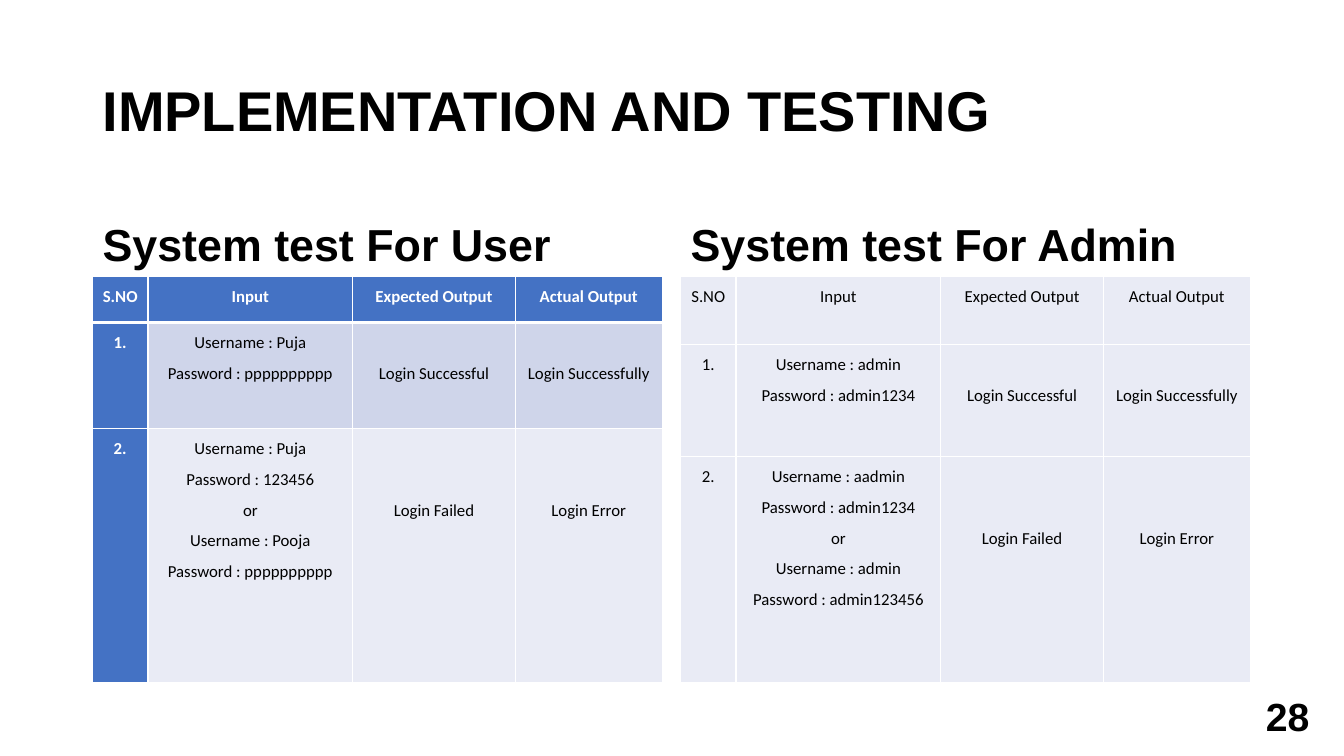
"""Build the slide with the login tests for user and admin."""
from lxml.etree import SubElement
from pptx import Presentation
from pptx.dml.color import RGBColor
from pptx.enum.text import MSO_ANCHOR as Anchor, MSO_AUTO_SIZE as Auto, PP_ALIGN as Align
from pptx.oxml.ns import qn
from pptx.util import Cm, Pt

TITLE = "IMPLEMENTATION AND TESTING"
PAGE = "28"
HEAD = ("S.NO", "Input", "Expected Output", "Actual Output")
TESTS = [
    {
        "name": "System test For User", "left": 2.33, "rows": (1.17, 2.67, 6.4), "accent": True,
        "cells": [
            HEAD,
            ("1.", "Username : Puja\nPassword : pppppppppp", "Login Successful", "Login Successfully"),
            ("2.", "Username : Puja\nPassword : 123456\nor\nUsername : Pooja\nPassword : pppppppppp",
             "Login Failed", "Login Error"),
        ],
    },
    {
        "name": "System test For Admin", "left": 17.15, "rows": (1.72, 2.82, 5.7), "accent": False,
        "cells": [
            HEAD,
            ("1.", "Username : admin\nPassword : admin1234", "Login Successful", "Login Successfully"),
            ("2.", "Username : aadmin\nPassword : admin1234\nor\nUsername : admin\nPassword : admin123456",
             "Login Failed", "Login Error"),
        ],
    },
]
COLS = (1.4, 5.16, 4.1, 3.7)
TOP, NAME_H, LINE = 6.96, 2.28, 0.78
BLUE, BAND, PALE, WHITE, BLACK = "4472C4", "CFD5EA", "E9EBF5", "FFFFFF", "000000"


def color(code):
    return RGBColor.from_string(code)


def write(frame, text, size=12, face="Arial", ink=BLACK, bold=True,
          align=Align.LEFT, anchor=Anchor.MIDDLE, space=0.9):
    frame.text = text
    frame.word_wrap = True
    frame.vertical_anchor = anchor
    for para in frame.paragraphs:
        para.alignment = align
        para.line_spacing = space
        para.space_before = para.space_after = Pt(0)
        for run in para.runs:
            font = run.font
            font.size, font.name, font.bold = Pt(size), face, bold
            font.color.rgb = color(ink)


def place(shape, left, top, width, height):
    shape.left, shape.top, shape.width, shape.height = map(Cm, (left, top, width, height))
    shape.text_frame.auto_size = Auto.NONE


def border(cell, sides):
    props = cell._tc.get_or_add_tcPr()
    for side, width in sides.items():
        line = SubElement(props, qn("a:ln" + side), w=str(Pt(width)))
        fill = SubElement(line, qn("a:solidFill"))
        SubElement(fill, qn("a:srgbClr"), val=WHITE)


def add_test(slide, test):
    cells, accent = test["cells"], test["accent"]
    frame = slide.shapes.add_table(len(cells), len(COLS), Cm(test["left"]), Cm(TOP),
                                   Cm(sum(COLS)), Cm(sum(test["rows"])))
    table = frame.table
    table.first_row = table.horz_banding = False
    for col, width in zip(table.columns, COLS):
        col.width = Cm(width)
    for r, (row, height) in enumerate(zip(cells, test["rows"])):
        table.rows[r].height = Cm(height)
        for c, text in enumerate(row):
            cell = table.cell(r, c)
            key = accent and (r == 0 or c == 0)
            border(cell, {"L": 1, "R": 1, "T": 3 if accent and r == 1 else 1,
                          "B": 3 if accent and r == 0 else 1})
            cell.fill.solid()
            cell.fill.fore_color.rgb = color(BLUE if key else BAND if accent and r == 1 else PALE)
            cell.margin_left = cell.margin_right = Cm(0.18)
            cell.margin_top = Cm(LINE * r if c > 1 else 0)
            cell.margin_bottom = Cm(0)
            write(cell.text_frame, text, face="Calibri", ink=WHITE if key else BLACK, bold=key,
                  align=Align.CENTER, anchor=Anchor.TOP, space=1.5)


def main():
    deck = Presentation()
    deck.slide_width, deck.slide_height = Cm(33.87), Cm(19.05)
    slide = deck.slides.add_slide(deck.slide_layouts[4])
    holders = slide.placeholders
    for spare in (holders[2], holders[4]):
        spare.element.getparent().remove(spare.element)

    place(slide.shapes.title, 2.33, 1.01, 26.5, 3.68)
    write(slide.shapes.title.text_frame, TITLE, size=40)
    for test, body in zip(TESTS, (holders[1], holders[3])):
        place(body, test["left"], TOP - NAME_H, sum(COLS), NAME_H)
        write(body.text_frame, test["name"], size=32, anchor=Anchor.BOTTOM)
        add_test(slide, test)

    page = slide.shapes.add_textbox(0, 0, 0, 0)
    place(page, 25.63, 17.53, 7.62, 1.01)
    write(page.text_frame, PAGE, size=28, align=Align.RIGHT, space=1.0)
    deck.save("out.pptx")


if __name__ == "__main__":
    main()
